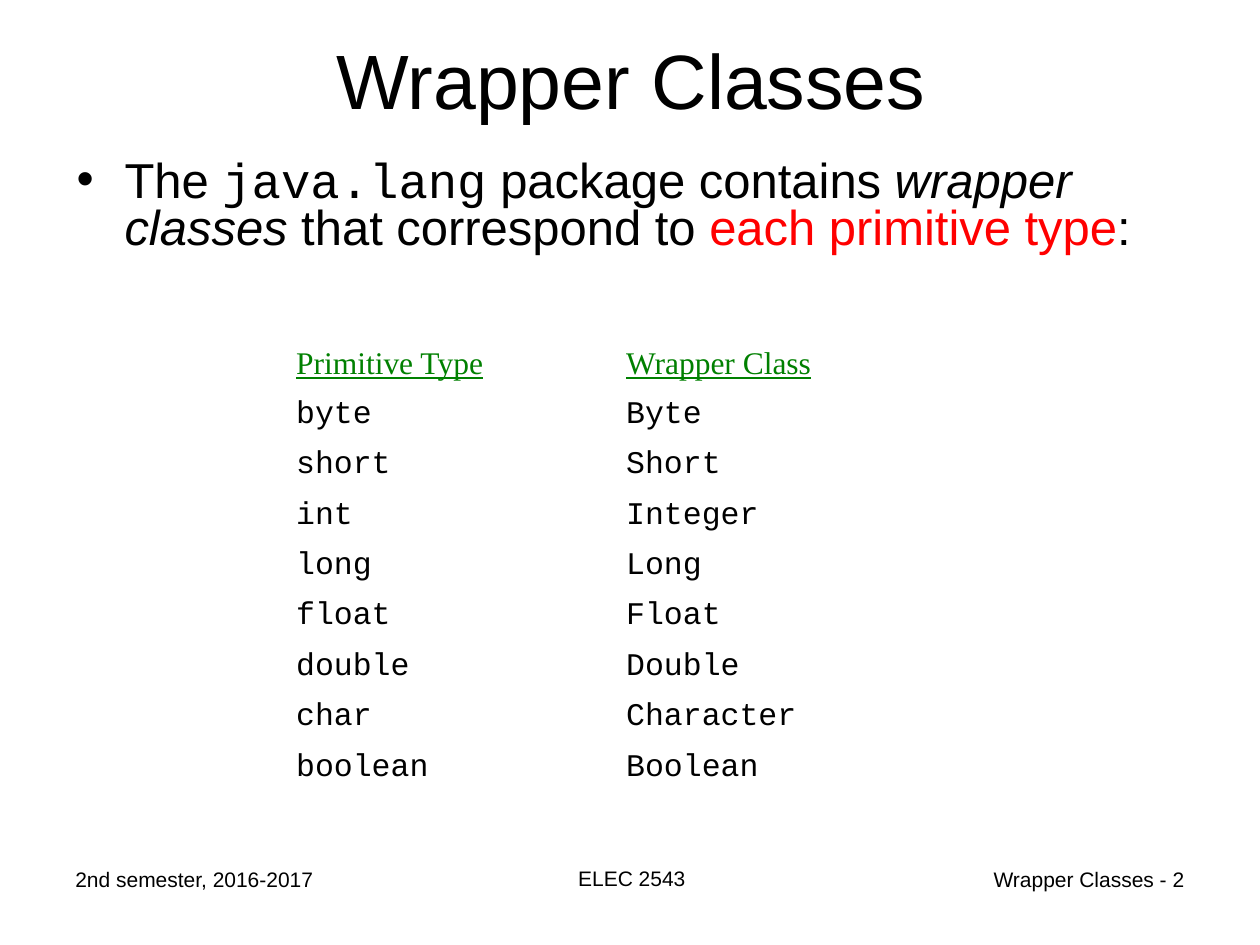
from dataclasses import dataclass

from lxml.etree import SubElement
from pptx import Presentation
from pptx.dml.color import RGBColor
from pptx.enum.text import MSO_ANCHOR, PP_ALIGN
from pptx.oxml.ns import qn
from pptx.util import Inches, Pt


@dataclass(frozen=True)
class Theme:
    ink: str = "000000"
    accent: str = "FF0000"
    header: str = "008000"
    sans: str = "Arial"
    serif: str = "Times New Roman"
    mono: str = "Courier New"
    title: int = 44
    body: int = 28
    table: int = 18
    footer: int = 12


T = Theme()

# Content
TITLE = "Wrapper Classes"
BULLET = [
    ("The ", {}),
    ("java.lang", {"name": T.mono}),
    (" package contains ", {}),
    ("wrapper classes", {"italic": True}),
    (" that correspond to ", {}),
    ("each primitive type", {"color": T.accent}),
    (":", {}),
]
ROWS = [
    ("Primitive Type", "Wrapper Class"),
    ("byte", "Byte"),
    ("short", "Short"),
    ("int", "Integer"),
    ("long", "Long"),
    ("float", "Float"),
    ("double", "Double"),
    ("char", "Character"),
    ("boolean", "Boolean"),
    ("", ""),
]
FOOTERS = [
    ("2nd semester, 2016-2017", (0.5, 6.83, 2.33, 0.52), PP_ALIGN.LEFT),
    ("ELEC 2543", (3.43, 6.82, 3.17, 0.52), PP_ALIGN.CENTER),
    ("Wrapper Classes - 2", (7.17, 6.83, 2.33, 0.52), PP_ALIGN.RIGHT),
]
COL_WIDTHS = (2.62, 2.53)
ROW_HEIGHT = 0.4


# Helpers
def add_run(p, text, size, color=T.ink, name=T.sans, **fmt):
    r = p.add_run()
    r.text = text
    r.font.color.rgb = RGBColor.from_string(color)
    for key, value in {"size": Pt(size), "name": name, **fmt}.items():
        setattr(r.font, key, value)


def add_text(s, box, runs, size, align=PP_ALIGN.LEFT, anchor=MSO_ANCHOR.TOP):
    tf = s.shapes.add_textbox(*map(Inches, box)).text_frame
    tf.word_wrap = True
    tf.vertical_anchor = anchor
    p = tf.paragraphs[0]
    p.alignment = align
    for text, fmt in runs:
        add_run(p, text, size, **fmt)
    return p


def add_bullet(p, indent):
    pPr = p._p.get_or_add_pPr()
    pPr.set("marL", str(Inches(indent)))
    pPr.set("indent", str(-Inches(indent)))
    SubElement(SubElement(pPr, qn("a:buClr")), qn("a:srgbClr"), val=T.ink)
    SubElement(pPr, qn("a:buFont"), typeface=T.sans)
    SubElement(pPr, qn("a:buChar"), char="•")


prs = Presentation()
prs.slide_width, prs.slide_height = Inches(10), Inches(7.5)
s = prs.slides.add_slide(prs.slide_layouts[6])

# Title and bullet
add_text(s, (0.51, 0, 9, 1.25), [(TITLE, {})], T.title,
         PP_ALIGN.CENTER, MSO_ANCHOR.MIDDLE)
p = add_text(s, (0.51, 1.23, 8.92, 0.91), BULLET, T.body)
p.line_spacing = 0.8
p.space_before = Pt(7)
add_bullet(p, 0.38)

# Type table
table = s.shapes.add_table(
    len(ROWS), len(COL_WIDTHS), Inches(2.25), Inches(2.7),
    Inches(sum(COL_WIDTHS)), Inches(ROW_HEIGHT * len(ROWS))).table
table.first_row = table.horz_banding = False
for col, width in zip(table.columns, COL_WIDTHS):
    col.width = Inches(width)
for i, row in enumerate(ROWS):
    table.rows[i].height = Inches(ROW_HEIGHT)
    fmt = ({"name": T.mono} if i else
           {"name": T.serif, "color": T.header, "underline": True})
    for j, text in enumerate(row):
        cell = table.cell(i, j)
        cell.fill.background()
        if text:
            add_run(cell.text_frame.paragraphs[0], text, T.table, **fmt)

# Footers
for text, box, align in FOOTERS:
    add_text(s, box, [(text, {})], T.footer, align)

prs.save("out.pptx")
